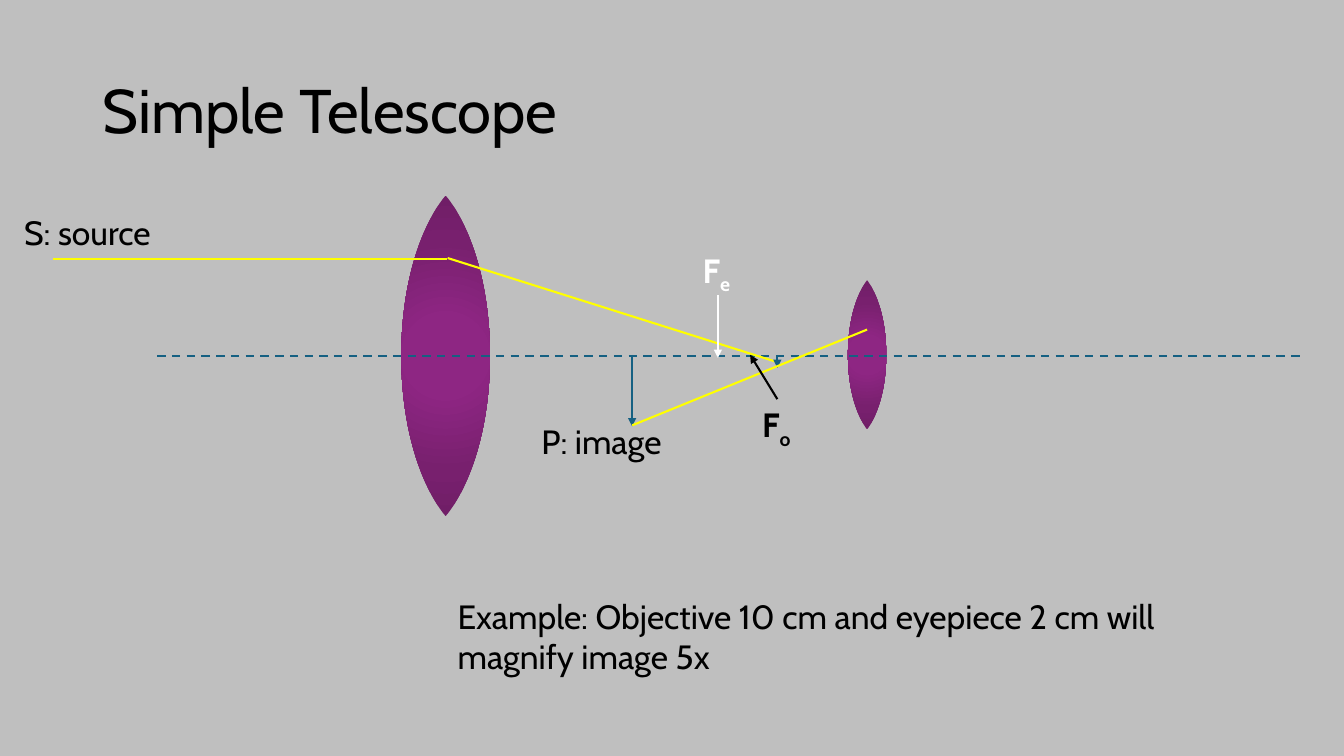
from pptx import Presentation, oxml
from pptx.dml.color import RGBColor
from pptx.enum import dml, shapes, text
from pptx.oxml import ns
from pptx.util import Inches, Pt
from lxml import etree

COLORS = {"background": "BFBFBF", "text": "000000", "white": "FFFFFF",
          "ray": "FFFF00", "axis": "156082",
          "lens": "8E2683", "lens shade": "78206E", "lens edge": "701E67"}
FONT = "Cabin"

# centre x, centre y, half width, half height
LENSES = [(8.6, 3.52, 0.19, 0.74), (4.42, 3.53, 0.44, 1.59)]
# Upper right edge of a lens of half width 1 and half height 1:
# tip, shoulder, two curve controls, widest point
LENS_QUARTER = [(0, -1), (0.06, -0.98), (0.63, -0.77), (1, -0.41), (1, 0)]
# Segments, counted from the tip, where a curve takes three points
CURVE_STARTS = (1, 4, 9, 12)
LENS_STOPS = [(0, "lens"), (23, "lens"), (69, "lens shade"), (97, "lens edge")]

# start, end, colour, dashed, arrowhead
LINES = [
    ((1.56, 3.53), (12.89, 3.53), "axis", True, False),
    ((0.53, 2.57), (4.43, 2.57), "ray", False, False),
    ((4.44, 2.56), (7.7, 3.59), "ray", False, False),
    ((6.27, 3.52), (6.27, 4.23), "axis", False, True),
    ((7.71, 3.52), (7.71, 3.65), "axis", False, True),
    ((6.27, 4.22), (8.6, 3.27), "ray", False, False),
    ((7.12, 2.93), (7.12, 3.55), "white", False, True),
    ((7.71, 3.96), (7.44, 3.52), "text", False, True),
]

TITLE = ("Simple Telescope", (0.92, 0.4, 11.5, 1.45))
EXAMPLE = ("Example: Objective 10 cm and eyepiece 2 cm will magnify image 5x",
           (4.44, 5.86, 8.23, 0.91))
LABELS = [("S: source", (0.14, 2.05, 1.56, 0.5)),
          ("P: image", (5.27, 4.13, 1.45, 0.5))]
# subscript, box, colour
FOCI = [("o", (7.46, 3.96, 0.51, 0.5), "text"),
        ("e", (6.87, 2.43, 0.5, 0.5), "white")]


def color(name):
    return RGBColor.from_string(COLORS[name])


def lens_outline():
    """Return the unit lens as points and curve controls, clockwise from the top tip."""
    right = LENS_QUARTER + [(x, -y) for x, y in LENS_QUARTER[-2::-1]]
    return right + [(-x, y) for x, y in right[-2:0:-1]]


def bend_outline(lens):
    """Join the straight segments at each curve start into one cubic curve."""
    segments = list(lens._element.iter(ns.qn("a:lnTo")))
    for start in CURVE_STARTS:
        curve = etree.Element(ns.qn("a:cubicBezTo"))
        segments[start].addprevious(curve)
        for segment in segments[start:start + 3]:
            curve.append(segment[0])
            segment.getparent().remove(segment)


def add_lens(slide, center_x, center_y, half_width, half_height):
    points = [(Inches(center_x + x * half_width), Inches(center_y + y * half_height))
              for x, y in lens_outline()]
    builder = slide.shapes.build_freeform(*points[0])
    builder.add_line_segments(points[1:], close=True)
    lens = builder.convert_to_shape()
    bend_outline(lens)
    lens.shadow.inherit = False
    lens.line.fill.background()
    lens.fill.gradient()
    stops = "".join(f'<a:gs pos="{position * 1000}"><a:srgbClr val="{COLORS[name]}"/></a:gs>'
                    for position, name in LENS_STOPS)
    radial = oxml.parse_xml(
        f'<a:gradFill {ns.nsdecls("a")} rotWithShape="1"><a:gsLst>{stops}</a:gsLst>'
        '<a:path path="circle"><a:fillToRect l="50000" t="50000" r="50000" b="50000"/>'
        '</a:path></a:gradFill>')
    properties = lens._element.spPr
    properties.replace(properties.find(ns.qn("a:gradFill")), radial)


def add_line(slide, start, end, color_name, dashed, arrow):
    connector = slide.shapes.add_connector(
        shapes.MSO_CONNECTOR.STRAIGHT, *(Inches(value) for value in start + end))
    connector.line.color.rgb = color(color_name)
    connector.line.width = Pt(1.5)
    if dashed:
        connector.line.dash_style = dml.MSO_LINE.DASH
    if arrow:
        outline = connector._element.spPr.find(ns.qn("a:ln"))
        etree.SubElement(outline, ns.qn("a:tailEnd"), type="triangle")
    etree.SubElement(connector._element.spPr, ns.qn("a:effectLst"))


def add_text(slide, content, box, size=24, color_name="text", wrap=False):
    """Add a one-paragraph text box and return its shape."""
    shape = slide.shapes.add_textbox(*(Inches(value) for value in box))
    shape.text_frame.word_wrap = wrap
    paragraph = shape.text_frame.paragraphs[0]
    paragraph.add_run().text = content
    paragraph.font.name = FONT
    paragraph.font.size = Pt(size)
    paragraph.font.color.rgb = color(color_name)
    return shape


def add_focus(slide, subscript, box, color_name):
    paragraph = add_text(slide, "F", box, color_name=color_name).text_frame.paragraphs[0]
    paragraph.font.bold = True
    run = paragraph.add_run()
    run.text = subscript
    run._r.get_or_add_rPr().set("baseline", "-25000")


def main():
    presentation = Presentation()
    presentation.slide_width = Inches(13.33)
    presentation.slide_height = Inches(7.5)
    slide = presentation.slides.add_slide(presentation.slide_layouts[6])
    slide.background.fill.solid()
    slide.background.fill.fore_color.rgb = color("background")

    title = add_text(slide, *TITLE, size=44, wrap=True)
    title.text_frame.vertical_anchor = text.MSO_ANCHOR.MIDDLE
    title.text_frame.paragraphs[0].line_spacing = 0.9
    for lens in LENSES:
        add_lens(slide, *lens)
    for line in LINES:
        add_line(slide, *line)
    for label in LABELS:
        add_text(slide, *label)
    for focus in FOCI:
        add_focus(slide, *focus)
    add_text(slide, *EXAMPLE, wrap=True)
    presentation.save("out.pptx")


if __name__ == "__main__":
    main()
